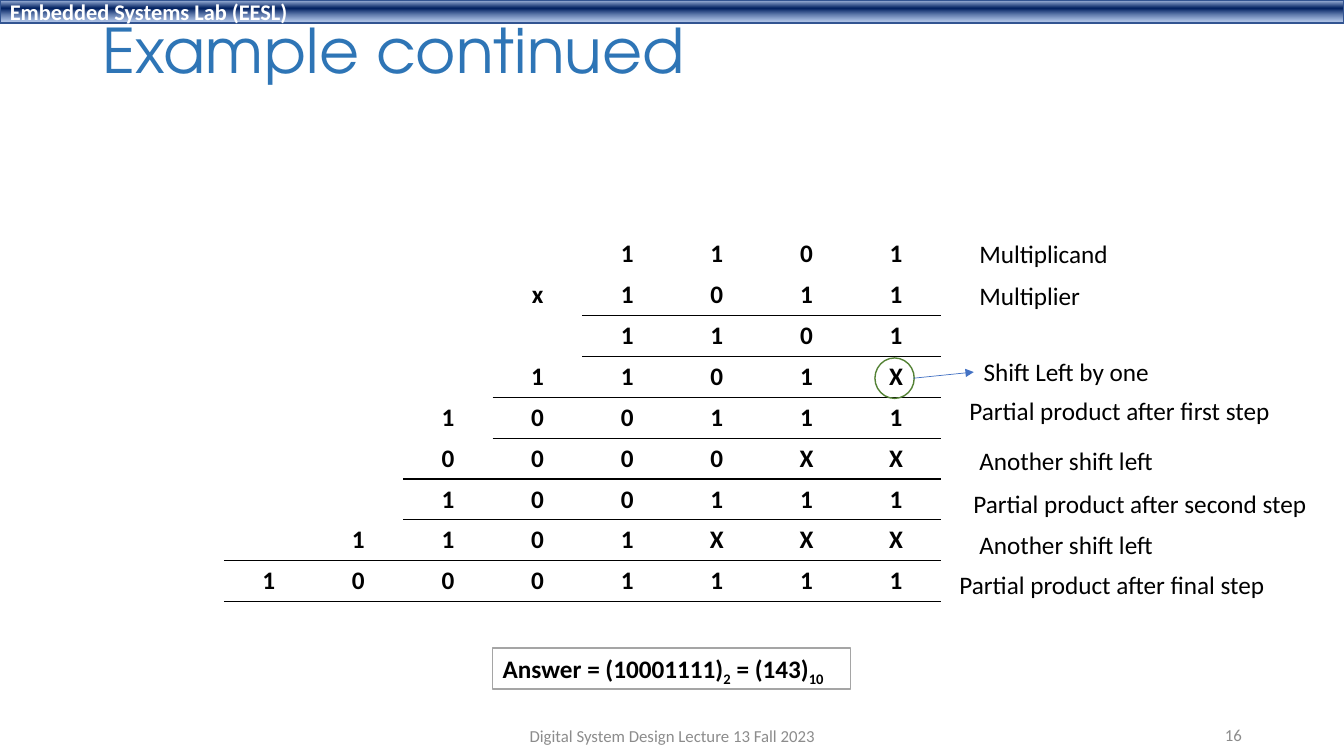
from lxml import etree
from pptx import Presentation
from pptx.dml.color import RGBColor
from pptx.enum.shapes import MSO_CONNECTOR, MSO_SHAPE
from pptx.enum.text import MSO_ANCHOR, MSO_AUTO_SIZE, PP_ALIGN
from pptx.oxml.ns import qn
from pptx.util import Cm, Pt

LEFT, CENTER, RIGHT = PP_ALIGN.LEFT, PP_ALIGN.CENTER, PP_ALIGN.RIGHT
MIDDLE, TOP = MSO_ANCHOR.MIDDLE, MSO_ANCHOR.TOP
FIT_SHAPE, NO_FIT = MSO_AUTO_SIZE.SHAPE_TO_FIT_TEXT, MSO_AUTO_SIZE.NONE
RECTANGLE, OVAL = MSO_SHAPE.RECTANGLE, MSO_SHAPE.OVAL
STRAIGHT = MSO_CONNECTOR.STRAIGHT

# Content
HEADER = "Embedded Systems Lab (EESL)"
TITLE = "Example continued"
FOOTER = "Digital System Design Lecture 13 Fall 2023"
PAGE_NUMBER = "16"
PRODUCT_ROWS = ["1101", "x1011", "1101", "1101X", "100111",
                "0000XX", "100111", "1101XXX", "10001111"]
# Row above each rule: first column the rule covers
RULES = {1: 4, 3: 3, 5: 2, 7: 0, 8: 0}
# Text, left, top, width in cm
SHIFT_LABEL = ("Shift Left by one", 24.54, 8.86, 4.75)
LABELS = [
    ("Multiplicand", 24.43, 5.89, 3.78),
    ("Multiplier", 24.43, 6.93, 3.07),
    ("Partial product after first step", 24.18, 9.83, 8.18),
    ("Another shift left", 24.43, 11.1, 4.95),
    ("Partial product after second step", 24.28, 12.17, 9.02),
    ("Another shift left", 24.43, 13.21, 4.95),
    ("Partial product after final step", 23.93, 14.22, 8.31),
]
# Text, is subscript
ANSWER = [("Answer = (10001111)", False), ("2", True),
          (" = (143)", False), ("10", True)]

COLORS = {
    "title": "2E75B6", "text": "000000", "white": "FFFFFF",
    "footer": "8C8C8C", "bar_line": "325491", "answer_line": "A5A5A5",
    "circle": "548235", "arrow": "4472C4",
}
# Position in %, colour, opacity in %
BAR_STOPS = [(2, "ABC0E4", 100), (38, "002060", 100), (93, "7E9ED6", 64)]
BODY_FONT, TITLE_FONT = "Calibri", "TeX Gyre Adventor"
COLUMNS = 8
COLUMN_WIDTH, ROW_HEIGHT, LABEL_HEIGHT = 2.26, 1.03, 1.03
TABLE_LEFT, TABLE_TOP = 5.64, 5.89
PLAIN_TABLE_STYLE = "{2D5ABB26-0587-4C30-8999-92F81FD0307C}"


def color(name):
    return RGBColor.from_string(COLORS[name])


def add_run(paragraph, text, size, color_name="text", bold=False, font=BODY_FONT):
    run = paragraph.add_run()
    run.text = text
    run.font.size, run.font.name, run.font.bold = Pt(size), font, bold
    run.font.color.rgb = color(color_name)
    return run


def set_frame(shape, wrap, auto_size, anchor, align=LEFT):
    frame = shape.text_frame
    frame.word_wrap, frame.auto_size = wrap, auto_size
    frame.vertical_anchor = anchor
    frame.paragraphs[0].alignment = align
    return frame.paragraphs[0]


def add_outlined(kind, left, top, width, height, line_name):
    shape = slide.shapes.add_shape(kind, Cm(left), Cm(top), Cm(width), Cm(height))
    shape.shadow.inherit = False
    shape.fill.background()
    shape.line.color.rgb = color(line_name)
    shape.line.width = Pt(1)
    return shape


def add_label(text, left, top, width):
    box = slide.shapes.add_textbox(Cm(left), Cm(top), Cm(width), Cm(LABEL_HEIGHT))
    add_run(set_frame(box, False, FIT_SHAPE, TOP), text, 18)
    return box


def add_border(cell, side):
    line = etree.Element(qn(f"a:{side}"), w=str(Pt(1)))
    fill = etree.SubElement(line, qn("a:solidFill"))
    etree.SubElement(fill, qn("a:srgbClr"), val=COLORS["text"])
    cell._tc.get_or_add_tcPr().insert(0, line)


presentation = Presentation()
presentation.slide_width, presentation.slide_height = Cm(33.87), Cm(19.05)
slide = presentation.slides.add_slide(presentation.slide_layouts[5])

# Header bar
bar = add_outlined(RECTANGLE, 0, 0, 33.87, 0.58, "bar_line")
bar.fill.gradient()
bar.fill.gradient_angle = 270
stops = bar._element.spPr.find(".//" + qn("a:gsLst"))
for old_stop in list(stops):
    stops.remove(old_stop)
for position, hex_color, opacity in BAR_STOPS:
    stop = etree.SubElement(stops, qn("a:gs"), pos=str(position * 1000))
    stop_color = etree.SubElement(stop, qn("a:srgbClr"), val=hex_color)
    if opacity < 100:
        etree.SubElement(stop_color, qn("a:alpha"), val=str(opacity * 1000))
add_run(set_frame(bar, True, NO_FIT, MIDDLE), HEADER, 16, "white", True)

# Title
title = slide.shapes.title
title.left, title.top, title.width, title.height = Cm(2.33), Cm(0.38), Cm(29.21), Cm(1.96)
title_paragraph = set_frame(title, True, NO_FIT, MIDDLE)
title_paragraph.line_spacing = 0.9
add_run(title_paragraph, TITLE, 44, "title", font=TITLE_FONT)

# Multiplication table
table = slide.shapes.add_table(
    len(PRODUCT_ROWS), COLUMNS, Cm(TABLE_LEFT), Cm(TABLE_TOP),
    Cm(COLUMNS * COLUMN_WIDTH), Cm(len(PRODUCT_ROWS) * ROW_HEIGHT)).table
table.first_row = table.horz_banding = False
table._tbl.tblPr.find(qn("a:tableStyleId")).text = PLAIN_TABLE_STYLE
for column in table.columns:
    column.width = Cm(COLUMN_WIDTH)
for row_index, digits in enumerate(PRODUCT_ROWS):
    table.rows[row_index].height = Cm(ROW_HEIGHT)
    for column_index, digit in enumerate(digits.rjust(COLUMNS)):
        cell = table.cell(row_index, column_index)
        cell.fill.background()
        paragraph = cell.text_frame.paragraphs[0]
        paragraph.alignment = CENTER
        paragraph.font.size = Pt(18)
        if digit.strip():
            add_run(paragraph, digit, 18, bold=True)
        for side, rule_row in (("lnB", row_index), ("lnT", row_index - 1)):
            if column_index >= RULES.get(rule_row, COLUMNS):
                add_border(cell, side)

# Step labels
for label in LABELS:
    add_label(*label)
shift_box = add_label(*SHIFT_LABEL)

# Answer box
answer_box = add_outlined(RECTANGLE, 12.42, 16.33, 9.02, LABEL_HEIGHT, "answer_line")
answer_box.fill.solid()
answer_box.fill.fore_color.rgb = color("white")
answer_paragraph = set_frame(answer_box, False, FIT_SHAPE, TOP)
for text, is_subscript in ANSWER:
    run = add_run(answer_paragraph, text, 18, bold=True)
    if is_subscript:
        run._r.get_or_add_rPr().set("baseline", "-25000")

# Circled X and its arrow
add_outlined(OVAL, 22.05, 9.02, 0.99, 1.02, "circle")
arrow = slide.shapes.add_connector(STRAIGHT, Cm(23.02), Cm(9.53), Cm(24.54), Cm(9.37))
arrow.end_connect(shift_box, 1)
arrow.line.color.rgb = color("arrow")
arrow.line.width = Pt(0.5)
etree.SubElement(arrow.line._get_or_add_ln(), qn("a:tailEnd"), type="triangle")
etree.SubElement(arrow._element.spPr, qn("a:effectLst"))

# Footer and page number
for text, left, top, width, align in [(FOOTER, 11.23, 18.03, 11.43, CENTER),
                                      (PAGE_NUMBER, 23.93, 18.01, 7.62, RIGHT)]:
    box = slide.shapes.add_textbox(Cm(left), Cm(top), Cm(width), Cm(1.02))
    add_run(set_frame(box, True, NO_FIT, MIDDLE, align), text, 12, "footer")

presentation.save("out.pptx")
